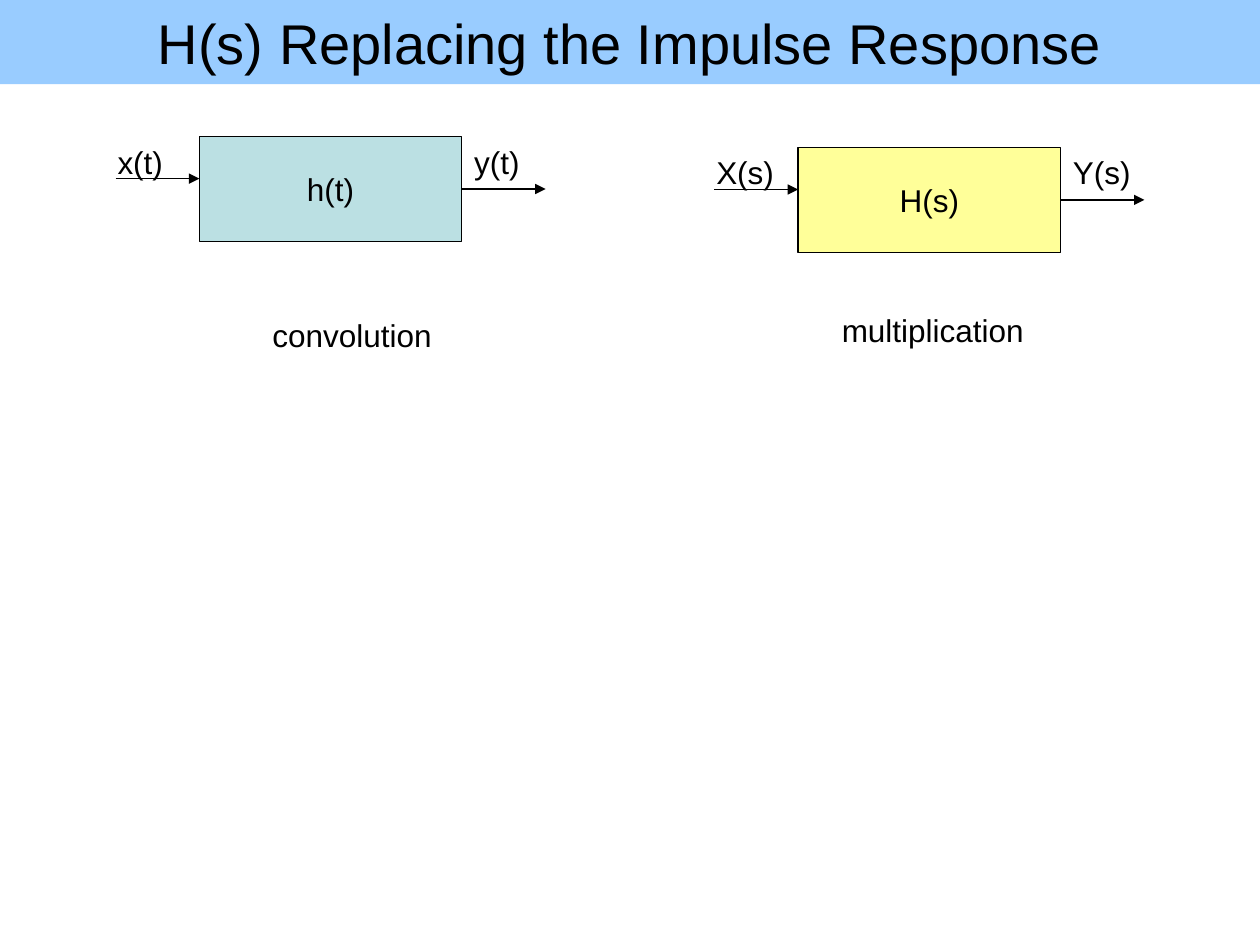
"""Builds a slide comparing time-domain and s-domain system blocks."""
from dataclasses import dataclass

from lxml import etree
from pptx import Presentation
from pptx.dml.color import RGBColor
from pptx.enum.shapes import MSO_CONNECTOR, MSO_SHAPE
from pptx.enum.text import MSO_ANCHOR, MSO_AUTO_SIZE, PP_ALIGN
from pptx.oxml.ns import qn
from pptx.util import Cm, Pt

RECTANGLE = MSO_SHAPE.RECTANGLE
STRAIGHT = MSO_CONNECTOR.STRAIGHT
MIDDLE = MSO_ANCHOR.MIDDLE
CENTER, LEFT = PP_ALIGN.CENTER, PP_ALIGN.LEFT
FIT_TEXT = MSO_AUTO_SIZE.SHAPE_TO_FIT_TEXT
RIGHT_SIDE = 3


@dataclass(frozen=True)
class Theme:
    font: str = "Arial"
    ink: RGBColor = RGBColor(0x00, 0x00, 0x00)
    banner: RGBColor = RGBColor(0x99, 0xCC, 0xFF)
    time: RGBColor = RGBColor(0xBB, 0xE0, 0xE3)
    laplace: RGBColor = RGBColor(0xFF, 0xFF, 0x99)
    title_size: Pt = Pt(32)
    body_size: Pt = Pt(18)
    stroke: Pt = Pt(0.75)


THEME = Theme()
TITLE = "H(s) Replacing the Impulse Response"
SYSTEMS = [
    {"input": "x(t)", "response": "h(t)", "output": "y(t)", "fill": THEME.time,
     "corner": (4.02, 2.75), "signal_width": 1.45,
     "operation": "convolution", "operation_at": (5.24, 6.25, 3.8)},
    {"input": "X(s)", "response": "H(s)", "output": "Y(s)", "fill": THEME.laplace,
     "corner": (16.09, 2.97), "signal_width": 1.7,
     "operation": "multiplication", "operation_at": (16.72, 6.15, 4.25)},
]
SLIDE_WIDTH, SLIDE_HEIGHT, BANNER_HEIGHT = 25.4, 19.05, 1.7
BLOCK_WIDTH, BLOCK_HEIGHT = 5.29, 2.12
ARROW_LENGTH, INPUT_DROP = 1.69, 0.85
INPUT_LABEL_LEAD, LABEL_HEIGHT = 1.9, 1.02


def write(shape, wording, size, align):
    frame = shape.text_frame
    frame.text = wording
    paragraph = frame.paragraphs[0]
    paragraph.alignment = align
    paragraph.font.name = THEME.font
    paragraph.font.size = size
    paragraph.font.color.rgb = THEME.ink
    return frame


def add_block(slide, wording, box, fill, size, outlined=True):
    block = slide.shapes.add_shape(RECTANGLE, *map(Cm, box))
    block.shadow.inherit = False
    block.fill.solid()
    block.fill.fore_color.rgb = fill
    if outlined:
        block.line.color.rgb = THEME.ink
        block.line.width = THEME.stroke
    else:
        block.line.fill.background()
    frame = write(block, wording, size, CENTER)
    frame.vertical_anchor = MIDDLE
    frame.word_wrap = False
    return block


def add_label(slide, wording, left, top, width):
    label = slide.shapes.add_textbox(Cm(left), Cm(top), Cm(width), Cm(LABEL_HEIGHT))
    frame = write(label, wording, THEME.body_size, LEFT)
    frame.word_wrap = False
    frame.auto_size = FIT_TEXT


def add_arrow(slide, start, level):
    arrow = slide.shapes.add_connector(
        STRAIGHT, start, level, start + Cm(ARROW_LENGTH), level)
    arrow.line.color.rgb = THEME.ink
    arrow.line.width = THEME.stroke
    etree.SubElement(arrow.line._get_or_add_ln(), qn("a:tailEnd"), type="triangle")
    etree.SubElement(arrow._element.spPr, qn("a:effectLst"))
    return arrow


def add_system(slide, system):
    left, top = system["corner"]
    right = left + BLOCK_WIDTH
    block = add_block(slide, system["response"], (left, top, BLOCK_WIDTH, BLOCK_HEIGHT),
                      system["fill"], THEME.body_size)
    add_arrow(slide, block.left - Cm(ARROW_LENGTH), block.top + Cm(INPUT_DROP))
    output = add_arrow(slide, block.left + block.width, block.top + block.height // 2)
    output.begin_connect(block, RIGHT_SIDE)
    add_label(slide, system["input"], left - INPUT_LABEL_LEAD, top, system["signal_width"])
    add_label(slide, system["output"], right, top, system["signal_width"])
    add_label(slide, system["operation"], *system["operation_at"])


def main():
    deck = Presentation()
    deck.slide_width, deck.slide_height = Cm(SLIDE_WIDTH), Cm(SLIDE_HEIGHT)
    slide = deck.slides.add_slide(deck.slide_layouts[6])
    add_block(slide, TITLE, (0, 0, SLIDE_WIDTH, BANNER_HEIGHT),
              THEME.banner, THEME.title_size, outlined=False)
    for system in SYSTEMS:
        add_system(slide, system)
    deck.save("out.pptx")


if __name__ == "__main__":
    main()
